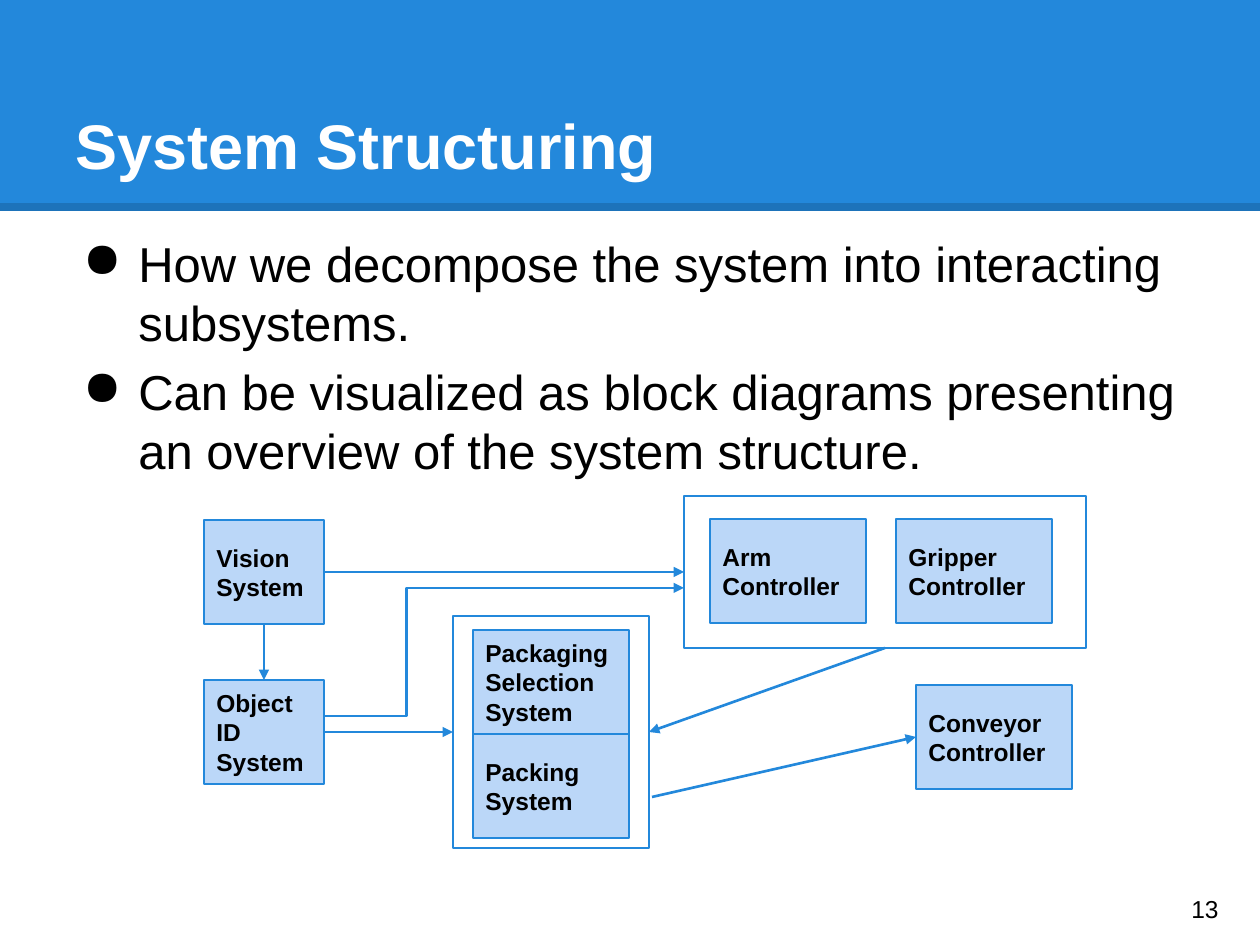
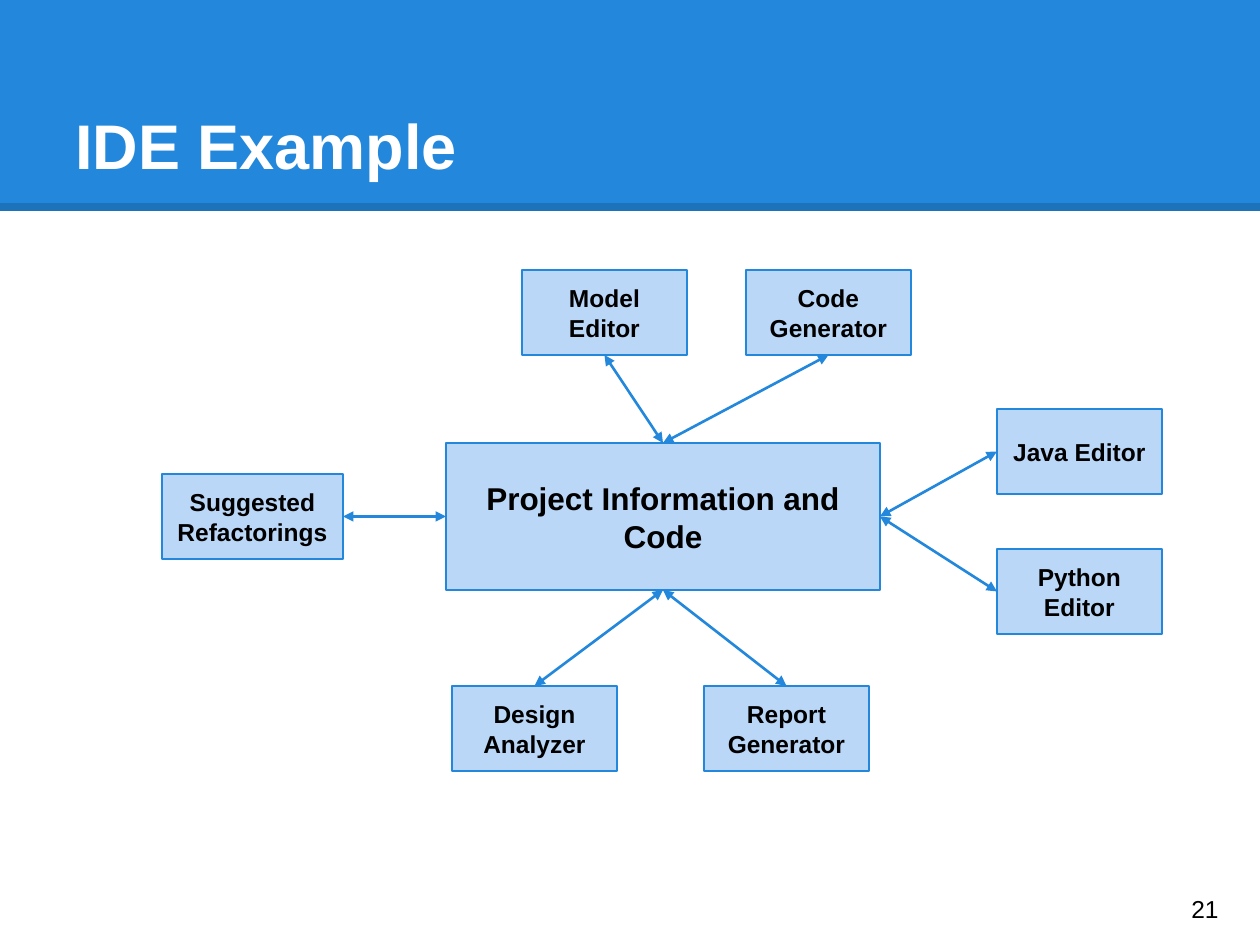
import lxml.etree
import pptx
import pptx.dml.color
import pptx.enum.shapes
import pptx.enum.text
import pptx.oxml.ns
import pptx.util

EMU_PER_PX = 914400 / 126
ALIGN = pptx.enum.text.PP_ALIGN
ANCHOR = pptx.enum.text.MSO_ANCHOR
SHAPE = pptx.enum.shapes.MSO_SHAPE
CONNECTOR = pptx.enum.shapes.MSO_CONNECTOR
TOP, LEFT, BOTTOM, RIGHT = range(4)


def px(*lengths):
    return [pptx.util.Emu(round(n * EMU_PER_PX)) for n in lengths]


def rgb(value):
    return pptx.dml.color.RGBColor.from_string(value)


def add_xml(parent, tag, **attrs):
    return lxml.etree.SubElement(parent, pptx.oxml.ns.qn(tag), attrs)


class Deck:
    FONT = "Arial"
    BLUE = "2388DB"
    PALE = "BBD7F8"
    BLACK = "000000"
    WHITE = "FFFFFF"

    def __init__(self):
        self.prs = pptx.Presentation()
        self.prs.slide_width, self.prs.slide_height = px(1260, 945)
        self.s = None

    def slide(self, title, number):
        self.s = self.prs.slides.add_slide(self.prs.slide_layouts[6])
        band = self.rect(0, 0, 1260, 211, self.BLUE)
        band.line.fill.background()
        edge = self.link((0, 207), (1260, 207), color=self.BLACK, width=4.5, tail=False)
        color = edge.line._ln.find(".//" + pptx.oxml.ns.qn("a:srgbClr"))
        add_xml(color, "a:alpha", val="15000")
        self.text(63, 38, 1134, 157, [title], 36, self.WHITE, True, ANCHOR.BOTTOM)
        self.text(1179, 873, 76, 72, [str(number)], 14, anchor=ANCHOR.MIDDLE)

    def set_text(self, sp, lines, size, color=BLACK, bold=False, anchor=ANCHOR.TOP, align=ALIGN.LEFT):
        tf = sp.text_frame
        tf.word_wrap = True
        tf.vertical_anchor = anchor
        tf.margin_left = tf.margin_right = tf.margin_top = tf.margin_bottom = pptx.util.Inches(0.1)
        for i, line in enumerate(lines):
            p = tf.add_paragraph() if i else tf.paragraphs[0]
            p.alignment = align
            r = p.add_run()
            r.text = line
            r.font.name = self.FONT
            r.font.size = pptx.util.Pt(size)
            r.font.bold = bold
            r.font.color.rgb = rgb(color)

    def text(self, x, y, w, h, lines, size, *style, **options):
        sp = self.s.shapes.add_textbox(*px(x, y, w, h))
        self.set_text(sp, lines, size, *style, **options)
        return sp

    def bullets(self, x, y, w, h, lines, size):
        sp = self.text(x, y, w, h, lines, size)
        for i, p in enumerate(sp.text_frame.paragraphs):
            if i:
                p.space_before = pptx.util.Pt(6)
            pPr = p._p.get_or_add_pPr()
            pPr.set("marL", str(pptx.util.Inches(0.5)))
            pPr.set("indent", str(-pptx.util.Inches(0.44)))
            add_xml(add_xml(pPr, "a:buClr"), "a:srgbClr", val=self.BLACK)
            add_xml(pPr, "a:buChar", char="●")

    def rect(self, x, y, w, h, fill=None):
        sp = self.s.shapes.add_shape(SHAPE.RECTANGLE, *px(x, y, w, h))
        sp.shadow.inherit = False
        if fill:
            sp.fill.solid()
            sp.fill.fore_color.rgb = rgb(fill)
        else:
            sp.fill.background()
        sp.line.color.rgb = rgb(self.BLUE)
        sp.line.width = pptx.util.Pt(1.5)
        return sp

    def box(self, label, x, y, w, h, size=14, align=ALIGN.CENTER):
        sp = self.rect(x, y, w, h, self.PALE)
        self.set_text(sp, [label], size, bold=True, anchor=ANCHOR.MIDDLE, align=align)
        return sp

    def link(self, start, end, color=BLUE, width=1.5, head=False, tail=True, bend=None):
        kind = CONNECTOR.ELBOW if bend else CONNECTOR.STRAIGHT
        points = [p if isinstance(p[0], int) else (0, 0) for p in (start, end)]
        cx = self.s.shapes.add_connector(kind, *px(*points[0], *points[1]))
        for target, connect in ((start, cx.begin_connect), (end, cx.end_connect)):
            if not isinstance(target[0], int):
                connect(*target)
        cx.line.color.rgb = rgb(color)
        cx.line.width = pptx.util.Pt(width)
        ln = cx.line._ln
        for wanted, tag in ((head, "a:headEnd"), (tail, "a:tailEnd")):
            if wanted:
                add_xml(ln, tag, type="triangle", w="med", len="med")
        spPr = cx._element.spPr
        if bend:
            guides = spPr.find(".//" + pptx.oxml.ns.qn("a:avLst"))
            add_xml(guides, "a:gd", name="adj1", fmla=f"val {round(bend * 100000)}")
        add_xml(spPr, "a:effectLst")
        return cx


def system_structuring(deck):
    deck.slide("System Structuring", 13)
    deck.bullets(63, 221, 1134, 684, [
        "How we decompose the system into interacting subsystems.",
        "Can be visualized as block diagrams presenting an overview of the system structure.",
    ], 28)
    controllers = deck.rect(684, 496, 402, 152)
    packaging = deck.rect(453, 616, 196, 232)
    vision, object_id, arm, gripper, selection, packing, conveyor = [
        deck.box(label, x, y, w, 104, align=ALIGN.LEFT)
        for label, x, y, w in (
            ("Vision System", 204, 520, 120),
            ("Object ID System", 204, 680, 120),
            ("Arm Controller", 710, 519, 156),
            ("Gripper Controller", 896, 519, 156),
            ("Packaging Selection System", 473, 630, 156),
            ("Packing System", 473, 734, 156),
            ("Conveyor Controller", 916, 685, 156),
        )
    ]
    deck.link((vision, BOTTOM), (object_id, TOP))
    deck.link((vision, RIGHT), (controllers, LEFT))
    deck.link((object_id, RIGHT), (packaging, LEFT))
    deck.link((324, 716), (684, 588), bend=0.23)
    deck.link((controllers, BOTTOM), (packaging, RIGHT))
    deck.link((652, 797), (conveyor, LEFT))


def ide_example(deck):
    deck.slide("IDE Example", 21)
    project = deck.box("Project Information and Code", 446, 443, 434, 147, size=18)
    for label, x, y, w, side, project_side in (
        ("Model Editor", 522, 270, 165, BOTTOM, TOP),
        ("Code Generator", 746, 270, 165, BOTTOM, TOP),
        ("Java Editor", 997, 409, 165, LEFT, RIGHT),
        ("Python Editor", 997, 549, 165, LEFT, RIGHT),
        ("Report Generator", 704, 686, 165, TOP, BOTTOM),
        ("Design Analyzer", 452, 686, 165, TOP, BOTTOM),
        ("Suggested Refactorings", 162, 474, 181, RIGHT, LEFT),
    ):
        tool = deck.box(label, x, y, w, 85)
        deck.link((tool, side), (project, project_side), head=True)


def main():
    deck = Deck()
    system_structuring(deck)
    ide_example(deck)
    deck.prs.save("out.pptx")


if __name__ == "__main__":
    main()
